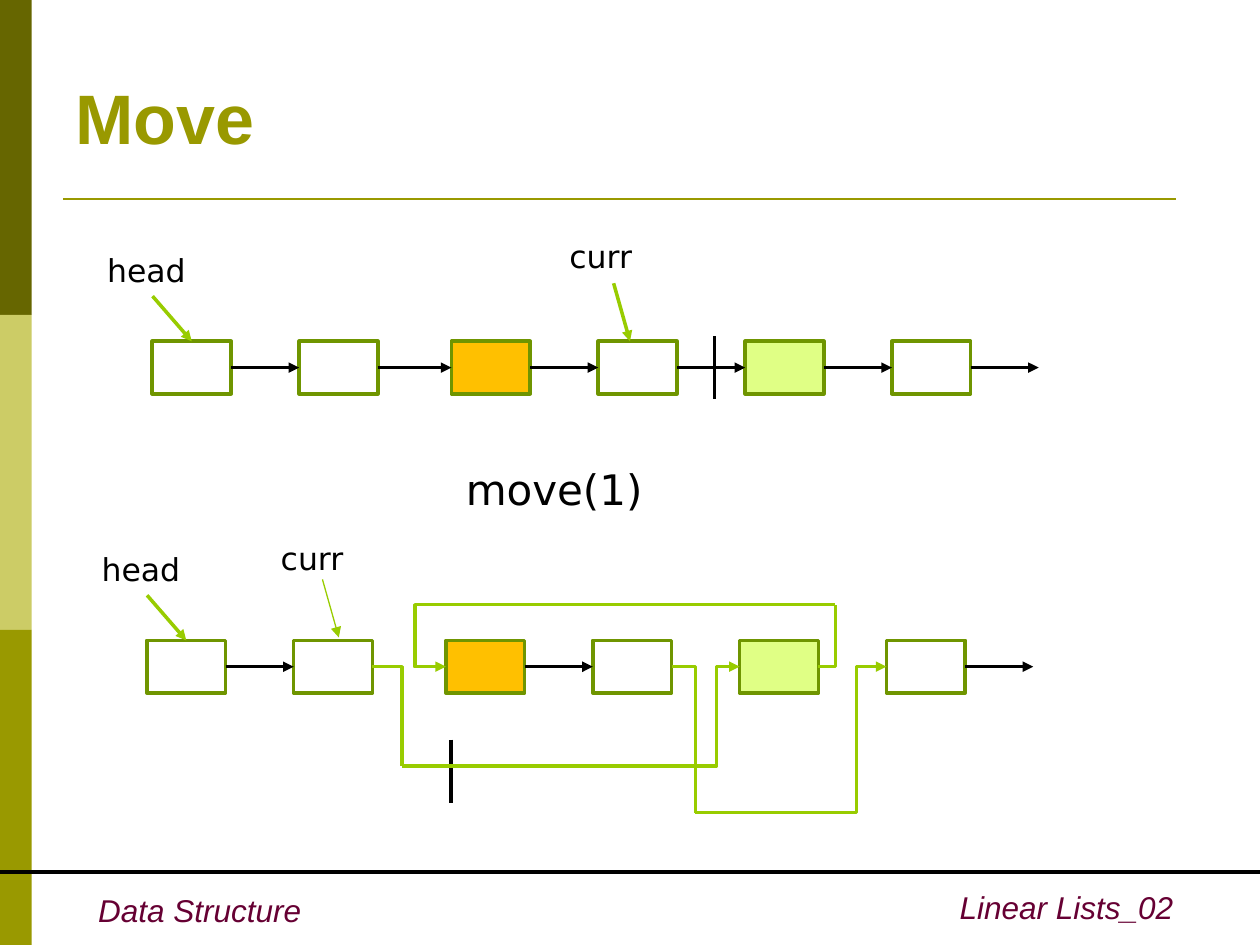
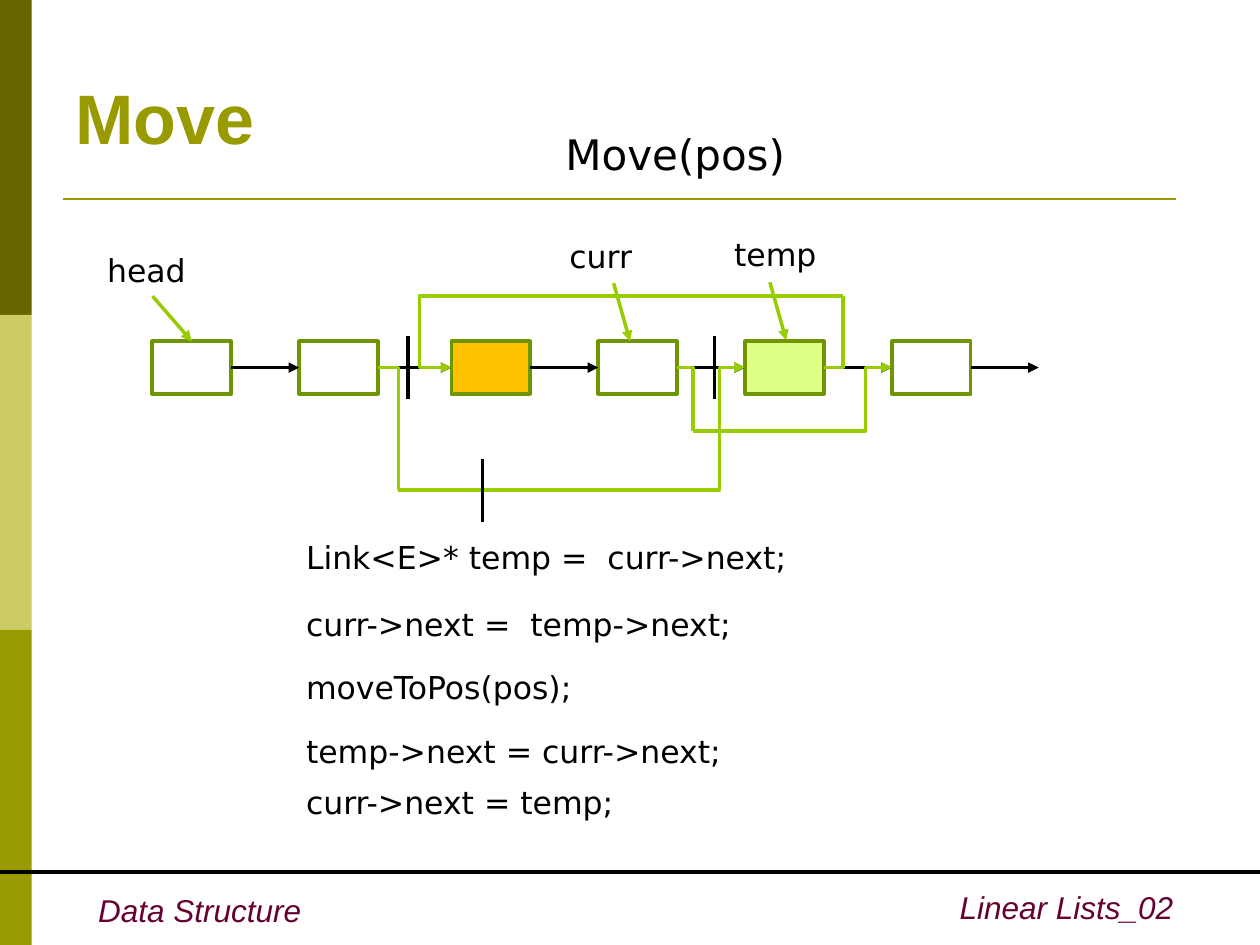
from lxml.etree import SubElement
from pptx import Presentation
from pptx.dml.color import RGBColor
from pptx.enum.shapes import MSO_CONNECTOR as Connector, MSO_SHAPE as Shape
from pptx.enum.text import MSO_ANCHOR as Anchor, PP_ALIGN as Align
from pptx.oxml.ns import qn
from pptx.util import Cm, Pt

COLOURS = {
    "dark_olive": "666600", "pale_olive": "CCCC66", "olive": "999900",
    "footer": "660033", "black": "000000", "node_line": "6F9500",
    "link": "98CC00", "orange": "FFC000", "lime": "E0FF85",
}
WIDTH, HEIGHT = 25.4, 19.05

# Linked list geometry in centimetres; a row is its (left, top) corner
NODE_COUNT, NODE_WIDTH, NODE_HEIGHT, NODE_PITCH = 6, 1.59, 1.06, 2.96
NODE_FILLS = {2: "orange", 4: "lime"}
UPPER_ROW, LOWER_ROW = (3.07, 6.88), (2.96, 12.91)
CURR_LEAN = (0.33, 1.17)
CUT_HEIGHT = 1.27


def entry(row, index):
    """Middle of a node's left side; the gap before the third node is wider."""
    left, top = row
    extra = 0.11 if index >= 2 else 0
    return left + index * NODE_PITCH + extra, top + NODE_HEIGHT / 2


def exit_of(row, index):
    x, y = entry(row, index)
    return x + NODE_WIDTH, y


class Deck:
    def __init__(self):
        self.presentation = Presentation()
        self.presentation.slide_width = Cm(WIDTH)
        self.presentation.slide_height = Cm(HEIGHT)
        self.slide = None

    def colour(self, name):
        return RGBColor.from_string(COLOURS[name])

    # Basic elements
    def box(self, left, top, width, height, fill=None, line=None):
        shape = self.slide.shapes.add_shape(
            Shape.RECTANGLE, Cm(left), Cm(top), Cm(width), Cm(height))
        shape.shadow.inherit = False
        if fill:
            shape.fill.solid()
            shape.fill.fore_color.rgb = self.colour(fill)
        else:
            shape.fill.background()
        if line:
            shape.line.color.rgb = self.colour(line)
            shape.line.width = Pt(2)
        else:
            shape.line.fill.background()

    def text(self, text, left, top, width, height=1.02, size=18, colour="black",
             font="DejaVu Sans", bold=False, italic=False, align=Align.LEFT,
             anchor=Anchor.TOP, wrap=True):
        shape = self.slide.shapes.add_textbox(Cm(left), Cm(top), Cm(width), Cm(height))
        text_frame = shape.text_frame
        text_frame.text = text
        text_frame.word_wrap = wrap
        text_frame.vertical_anchor = anchor
        paragraph = text_frame.paragraphs[0]
        paragraph.alignment = align
        style = paragraph.runs[0].font
        style.name, style.size = font, Pt(size)
        style.bold, style.italic = bold, italic
        style.color.rgb = self.colour(colour)

    def line(self, start, end, colour="black", weight=2, arrow=False,
             kind=Connector.STRAIGHT):
        connector = self.slide.shapes.add_connector(
            kind, Cm(start[0]), Cm(start[1]), Cm(end[0]), Cm(end[1]))
        connector.line.color.rgb = self.colour(colour)
        connector.line.width = Pt(weight)
        properties = connector._element.spPr
        if arrow:
            SubElement(properties.find(qn("a:ln")), qn("a:tailEnd"), type="triangle")
        SubElement(properties, qn("a:effectLst"))
        return properties.find(qn("a:prstGeom"))

    # Shared frame
    def new_slide(self, title):
        self.slide = self.presentation.slides.add_slide(
            self.presentation.slide_layouts[6])
        band_height = HEIGHT / 3
        for index, fill in enumerate(("dark_olive", "pale_olive", "olive")):
            self.box(0, index * band_height, 0.64, band_height, fill)
        self.line((1.27, 4.01), (23.7, 4.01), "olive", 1.5)
        self.line((0, 17.58), (WIDTH, 17.58), weight=2.25)
        footer = dict(font="Arial", colour="footer", italic=True)
        self.text("Data Structure", 1.73, 17.83, 4.6, wrap=False, **footer)
        self.text("Linear Lists_02", 13.31, 17.78, 10.59, align=Align.RIGHT, **footer)
        self.text(title, 1.27, 1.07, 22.86, 2.54, size=40, font="Arial",
                  colour="olive", bold=True, anchor=Anchor.MIDDLE)

    # Linked list parts
    def linked_list(self, row, linked_nodes):
        left, top = row
        for index in range(NODE_COUNT):
            self.box(entry(row, index)[0], top, NODE_WIDTH, NODE_HEIGHT,
                     NODE_FILLS.get(index), "node_line")
        for index in linked_nodes:
            self.line(exit_of(row, index), entry(row, index + 1), arrow=True)
        self.pointer("head", (left - 1.16, top - 1.95),
                     (left + NODE_WIDTH / 2, top), lean=(0.79, 0.91))

    def pointer(self, label, label_at, tip, lean=CURR_LEAN, weight=2):
        self.text(label, *label_at, 2.34)
        start = (tip[0] - lean[0], tip[1] - lean[1])
        self.line(start, tip, "link", weight, arrow=True)

    def cut(self, x, top):
        self.line((x, top), (x, top + CUT_HEIGHT))

    def detour(self, row, source, target, corner, lane):
        """Link that leaves a node, turns at corner and comes back along x = lane."""
        end = entry(row, target)
        geometry = self.line(exit_of(row, source), corner, "link",
                             kind=Connector.ELBOW)
        geometry.set("prst", "bentConnector2")
        geometry = self.line(corner, end, "link", arrow=True, kind=Connector.ELBOW)
        bend = (lane - corner[0]) / (end[0] - corner[0])
        SubElement(geometry.find(qn("a:avLst")), qn("a:gd"), name="adj1",
                   fmla=f"val {round(bend * 100000)}")


def draw_start_list(deck):
    deck.linked_list(UPPER_ROW, range(NODE_COUNT))
    deck.pointer("curr", (11.23, 4.65), (12.7, 6.88))
    deck.cut(14.4, 6.78)


def main():
    deck = Deck()

    # Slide 1: list before and after move(1)
    deck.new_slide("Move")
    draw_start_list(deck)
    deck.text("move(1)", 9.14, 9.22, 5.46, 1.27, size=24)
    deck.linked_list(LOWER_ROW, (0, 2, 5))
    deck.pointer("curr", (5.41, 10.74), (6.83, 12.85), weight=0.75)
    deck.cut(9.09, 14.91)
    deck.detour(LOWER_ROW, 1, 4, corner=(8.1, 15.44), lane=14.45)
    deck.detour(LOWER_ROW, 4, 2, corner=(16.84, 12.19), lane=8.36)
    deck.detour(LOWER_ROW, 3, 5, corner=(14.02, 16.38), lane=17.27)

    # Slide 2: relinking steps and their code
    deck.new_slide("Move")
    draw_start_list(deck)
    deck.text("Move(pos)", 11.15, 2.46, 5.46, 1.27, size=24)
    deck.pointer("temp", (14.55, 4.62), (15.85, 6.86))
    deck.cut(8.23, 6.78)
    deck.detour(UPPER_ROW, 3, 5, corner=(13.97, 8.69), lane=17.45)
    deck.detour(UPPER_ROW, 4, 2, corner=(16.99, 5.97), lane=8.46)
    deck.detour(UPPER_ROW, 1, 4, corner=(8.03, 9.88), lane=14.5)
    deck.cut(9.73, 9.25)
    code_lines = (
        ("Link<E>* temp =  curr->next;", 10.72),
        ("curr->next =  temp->next;", 12.07),
        ("moveToPos(pos);", 13.34),
        ("temp->next = curr->next;", 14.63),
        ("curr->next = temp;", 15.67),
    )
    for code, top in code_lines:
        deck.text(code, 5.92, top, 13.54)

    deck.presentation.save("out.pptx")


if __name__ == "__main__":
    main()
